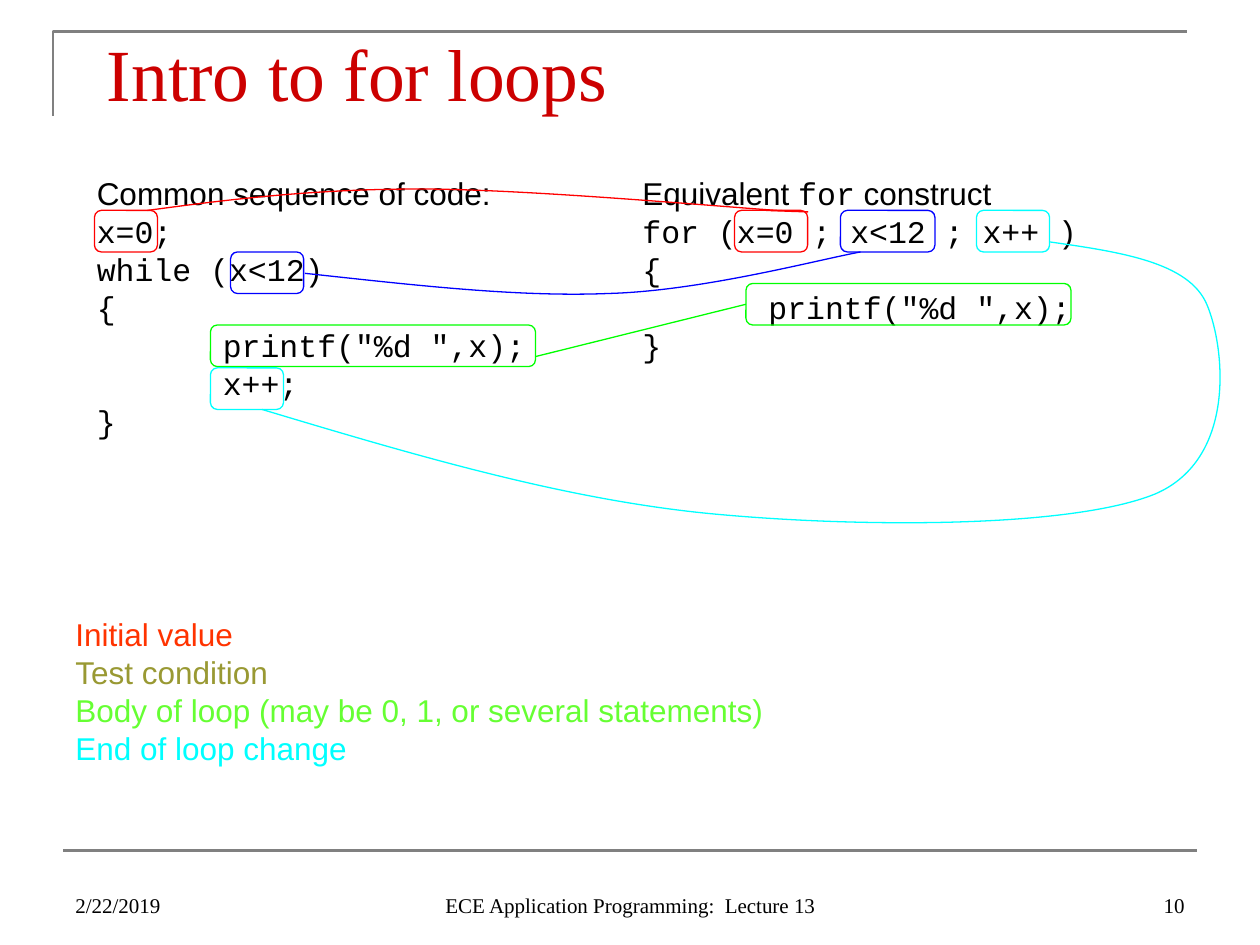
import pptx
import pptx.util
import pptx.dml.color
import pptx.enum.shapes
import pptx.enum.text
import pptx.oxml

Inches = pptx.util.Inches
Pt = pptx.util.Pt
Align = pptx.enum.text.PP_ALIGN
Anchor = pptx.enum.text.MSO_ANCHOR
Kind = pptx.enum.shapes.MSO_SHAPE
Link = pptx.enum.shapes.MSO_CONNECTOR
qn = pptx.oxml.ns.qn

COLORS = {
    "gray": "808080", "title": "CC0000", "black": "000000",
    "init": "FF0000", "test": "0000FF", "body": "00FF00", "step": "00FFFF",
    "orange": "FF3300", "olive": "999933", "lime": "66FF33",
}
SANS, MONO, SERIF = "Arial", "Courier New", "Times New Roman"
HIGH = 0.33
PITCH = 21.7

LEFT = 'x=0;\vwhile (x<12)\v{\v\tprintf("%d ",x);\v\tx++;\v}'
RIGHT = 'for (x=0 ; x<12 ; x++ )\v{\v\tprintf("%d ",x);\v}'

BOXES = [
    ("init", 0.75, 1.67, 0.5), ("init", 5.83, 1.67, 0.58),
    ("test", 1.83, 2, 0.58), ("test", 6.67, 1.67, 0.75),
    ("body", 1.67, 2.58, 2.58),
    ("step", 1.67, 2.92, 0.58), ("step", 7.75, 1.67, 0.58),
]
CURVES = {
    "init": [(1.17, 1.67), (1.83, 1.58), (2.5, 1.5), (3.33, 1.5),
             (4.17, 1.5), (5.71, 1.64), (6.17, 1.67),
             (6.62, 1.69), (6.35, 1.68), (6.08, 1.67)],
    "test": [(2.42, 2.17), (3.26, 2.26), (4.1, 2.36), (4.83, 2.33),
             (5.57, 2.31), (6.5, 2.06), (6.83, 2)],
    "step": [(2.08, 3.25), (3.28, 3.61), (4.49, 3.97), (5.67, 4.08),
             (6.85, 4.19), (8.51, 4.19), (9.17, 3.92),
             (9.82, 3.64), (9.72, 2.75), (9.58, 2.42),
             (9.44, 2.08), (8.89, 2), (8.33, 1.92)],
}


def color(name):
    return pptx.dml.color.RGBColor.from_string(COLORS[name])


def stroke(shape, hue, width):
    shape.line.color.rgb = color(hue)
    shape.line.width = Pt(width)


def add_tab(para, stop):
    props = para._p.get_or_add_pPr()
    tabs = props.makeelement(qn("a:tabLst"), {})
    tabs.append(tabs.makeelement(qn("a:tab"), {"pos": str(Inches(stop)), "algn": "l"}))
    props.append(tabs)


def add_text(slide, place, rows, size, align=Align.LEFT, anchor=Anchor.TOP, pitch=None):
    box = slide.shapes.add_textbox(*map(Inches, place))
    frame = box.text_frame
    frame.word_wrap = True
    frame.vertical_anchor = anchor
    for i, row in enumerate(rows):
        para = frame.add_paragraph() if i else frame.paragraphs[0]
        para.alignment = align
        if pitch:
            para.line_spacing = Pt(pitch)
        for text, font, hue in row:
            start = len(para.runs)
            if len(row) == 1:
                para.text = text
            else:
                para.add_run().text = text
            if "\t" in text:
                add_tab(para, 1)
            for run in para.runs[start:]:
                run.font.name = font
                run.font.size = Pt(size)
                run.font.color.rgb = color(hue)


def add_box(slide, hue, left, top, width):
    box = slide.shapes.add_shape(
        Kind.ROUNDED_RECTANGLE, Inches(left), Inches(top), Inches(width), Inches(HIGH))
    box.shadow.inherit = False
    box.fill.background()
    stroke(box, hue, 0.75)
    return box


def add_line(slide, start, end, hue, width):
    line = slide.shapes.add_connector(Link.STRAIGHT, *map(Inches, start + end))
    stroke(line, hue, width)
    props = line._element.spPr
    props.append(props.makeelement(qn("a:effectLst"), {}))
    return line


def add_free(slide, points, hue, width):
    points = [(Inches(x), Inches(y)) for x, y in points]
    maker = slide.shapes.build_freeform(*points[0])
    maker.add_line_segments(points[1:], close=False)
    shape = maker.convert_to_shape()
    shape.shadow.inherit = False
    shape.fill.background()
    stroke(shape, hue, width)
    return shape


def add_curve(slide, knots, hue, width):
    shape = add_free(slide, knots, hue, width)
    legs = list(shape._element.spPr.iter(qn("a:lnTo")))
    for i in range(0, len(legs), 3):
        bend = legs[i].makeelement(qn("a:cubicBezTo"), {})
        legs[i].addprevious(bend)
        for leg in legs[i:i + 3]:
            bend.append(leg[0])
            leg.getparent().remove(leg)


def main():
    deck = pptx.Presentation()
    deck.slide_width, deck.slide_height = Inches(10), Inches(7.5)
    slide = deck.slides.add_slide(deck.slide_layouts[6])

    add_free(slide, [(0.42, 0.92), (0.42, 0.25), (9.42, 0.25)], "gray", 1.5)
    add_line(slide, (0.5, 6.75), (9.5, 6.75), "gray", 1.5)
    add_text(slide, (0.75, 0.17, 8.5, 0.75),
             [[("Intro to for loops", SERIF, "title")]], 42)

    add_text(slide, (0.67, 1.33, 4.33, 2.45),
             [[("Common sequence of code:", SANS, "black")],
              [(LEFT, MONO, "black")]], 18, pitch=PITCH)
    add_text(slide, (5, 1.33, 5, 1.85),
             [[("Equivalent ", SANS, "black"), ("for", MONO, "black"),
               (" construct", SANS, "black")],
              [(RIGHT, MONO, "black")]], 18, pitch=PITCH)

    for item in BOXES:
        add_box(slide, *item)
    body = add_box(slide, "body", 5.92, 2.25, 2.58)
    for hue, knots in CURVES.items():
        add_curve(slide, knots, hue, 0.75)
    add_line(slide, (4.25, 2.83), (5.92, 2.42), "body", 0.75).end_connect(body, 1)

    legend = [
        ("Initial value", "orange"), ("Test condition", "olive"),
        ("Body of loop (may be 0, 1, or several statements)", "lime"),
        ("End of loop change", "step"),
    ]
    add_text(slide, (0.5, 4.83, 7.67, 2.3),
             [[(text, SANS, hue)] for text, hue in legend], 18, pitch=PITCH)

    for text, left, width, align in [
        ("2/22/2019", 0.5, 2.33, Align.LEFT),
        ("10", 7.17, 2.33, Align.RIGHT),
        ("ECE Application Programming:  Lecture 13", 3.42, 3.17, Align.CENTER),
    ]:
        add_text(slide, (left, 6.83, width, 0.5),
                 [[(text, SERIF, "black")]], 12, align, Anchor.BOTTOM)

    deck.save("out.pptx")


if __name__ == "__main__":
    main()
